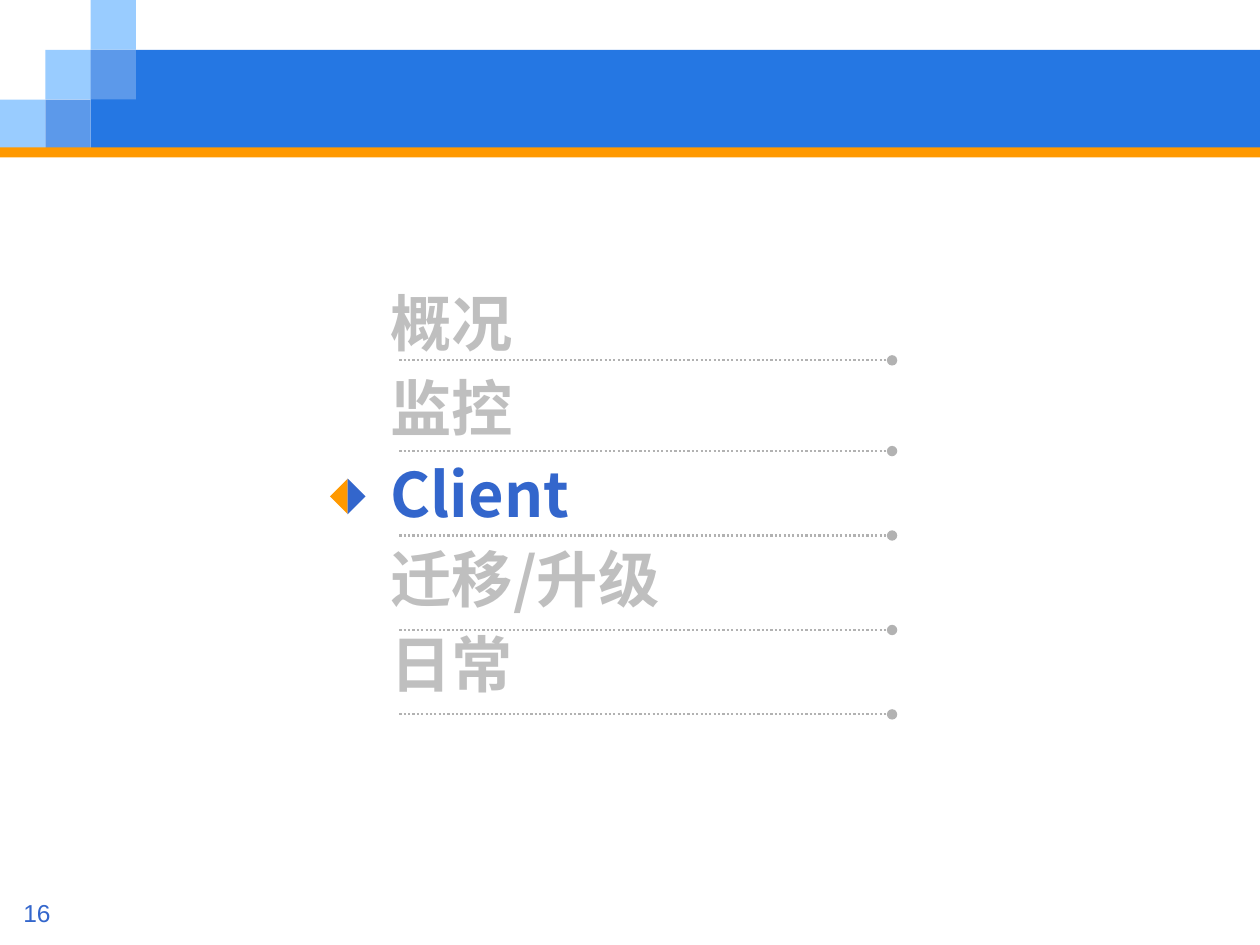
from typing import NamedTuple

from lxml import etree
from pptx import Presentation
from pptx import util as u
from pptx.dml.color import RGBColor
from pptx.enum import dml, shapes, text
from pptx.oxml.ns import qn

WIDTH, HEIGHT = 10, 7.5
COL, ROW = 0.36, 0.395  # header mosaic grid
BLUE, SKY, MIX, ORANGE = "2577E3", "99CCFF", "5C99EA", "FF9900"
ACTIVE, MUTED, RULE = "3366CC", "BFBFBF", "B2B2B2"


class Tile(NamedTuple):
    col: float
    row: float
    cols: float
    rows: float
    color: str


class Topic(NamedTuple):
    title: str
    color: str
    rule_y: float


class Half(NamedTuple):
    rotation: int
    color: str
    flipped: bool


TILES = [
    Tile(2, 1, WIDTH / COL - 2, 2, BLUE),
    Tile(0, 2, 1, 1, SKY),
    Tile(1, 1, 1, 1, SKY),
    Tile(2, 0, 1, 1, SKY),
    Tile(2, 1, 1, 1, MIX),
    Tile(1, 2, 1, 1, MIX),
]
TOPICS = [
    Topic("概况", MUTED, 2.86),
    Topic("监控", MUTED, 3.58),
    Topic("Client", ACTIVE, 4.25),
    Topic("迁移/升级", MUTED, 5),
    Topic("日常", MUTED, 5.67),
]
HALVES = [Half(45, ORANGE, False), Half(315, ACTIVE, True)]


def rgb(color: str) -> RGBColor:
    return RGBColor.from_string(color)


def add_block(page, kind, left: float, top: float, width: float, height: float, color: str):
    block = page.shapes.add_shape(kind, *map(u.Inches, (left, top, width, height)))
    block.shadow.inherit = False
    block.fill.solid()
    block.fill.fore_color.rgb = rgb(color)
    block.line.fill.background()
    return block


def add_text(page, left: float, top: float, width: float, height: float, content: str):
    box = page.shapes.add_textbox(*map(u.Inches, (left, top, width, height)))
    box.text_frame.word_wrap = True
    box.text_frame.text = content
    return box.text_frame


def style(para, font: str, size: float, color: str, bold: bool = False) -> None:
    for span in para.runs:
        span.font.name, span.font.size, span.font.bold = font, u.Pt(size), bold
        span.font.color.rgb = rgb(color)
        # East Asian glyphs take their own typeface
        etree.SubElement(span.font._element, qn("a:ea")).set("typeface", font)


def add_rule(page, left: float, right: float, y: float) -> None:
    rule = page.shapes.add_connector(
        shapes.MSO_CONNECTOR.STRAIGHT, *map(u.Inches, (left, y, right, y)))
    rule.line.color.rgb = rgb(RULE)
    rule.line.width = u.Pt(1.25)
    rule.line.dash_style = dml.MSO_LINE.ROUND_DOT
    etree.SubElement(rule.line._get_or_add_ln(), qn("a:tailEnd")).set("type", "oval")
    etree.SubElement(rule._element.spPr, qn("a:effectLst"))


def main() -> None:
    deck = Presentation()
    deck.slide_width, deck.slide_height = u.Inches(WIDTH), u.Inches(HEIGHT)
    page = deck.slides.add_slide(deck.slide_layouts[6])

    # Header band, mosaic and orange stripe
    rectangle = shapes.MSO_SHAPE.RECTANGLE
    for tile in TILES:
        add_block(page, rectangle, tile.col * COL, tile.row * ROW,
                  tile.cols * COL, tile.rows * ROW, tile.color)
    add_block(page, rectangle, 0, 1.17, WIDTH, 0.08, ORANGE)

    # Page number
    number = add_text(page, 0, 7.08, 0.5, 0.35, "16").paragraphs[0]
    number.alignment = text.PP_ALIGN.RIGHT
    style(number, "Arial", 14, ACTIVE)

    # Agenda with dotted rules
    agenda = add_text(page, 3, 2.17, 3.25, 3.52, "\n".join(topic.title for topic in TOPICS))
    agenda.margin_top = 0
    for para, topic in zip(agenda.paragraphs, TOPICS):
        para.line_spacing = u.Pt(48.75)
        style(para, "Noto Sans CJK SC", 35, topic.color, bold=True)
    for topic in TOPICS:
        add_rule(page, 3.17, 7.08, topic.rule_y)

    # Two-tone diamond marking the current topic
    for half in HALVES:
        marker = add_block(page, shapes.MSO_SHAPE.RIGHT_TRIANGLE, 2.66, 3.84, 0.2, 0.2, half.color)
        marker.rotation = half.rotation
        if half.flipped:
            marker._element.spPr.xfrm.set("flipH", "1")

    deck.save("out.pptx")


if __name__ == "__main__":
    main()
